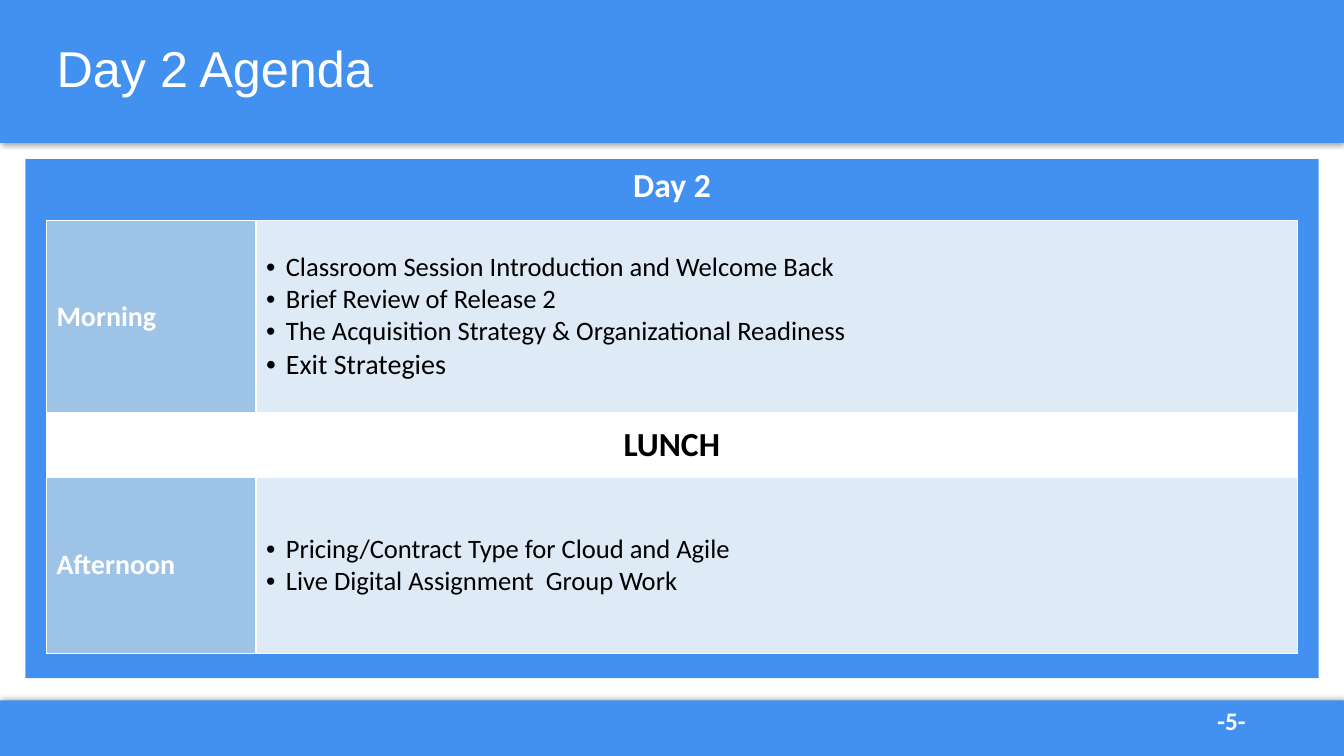
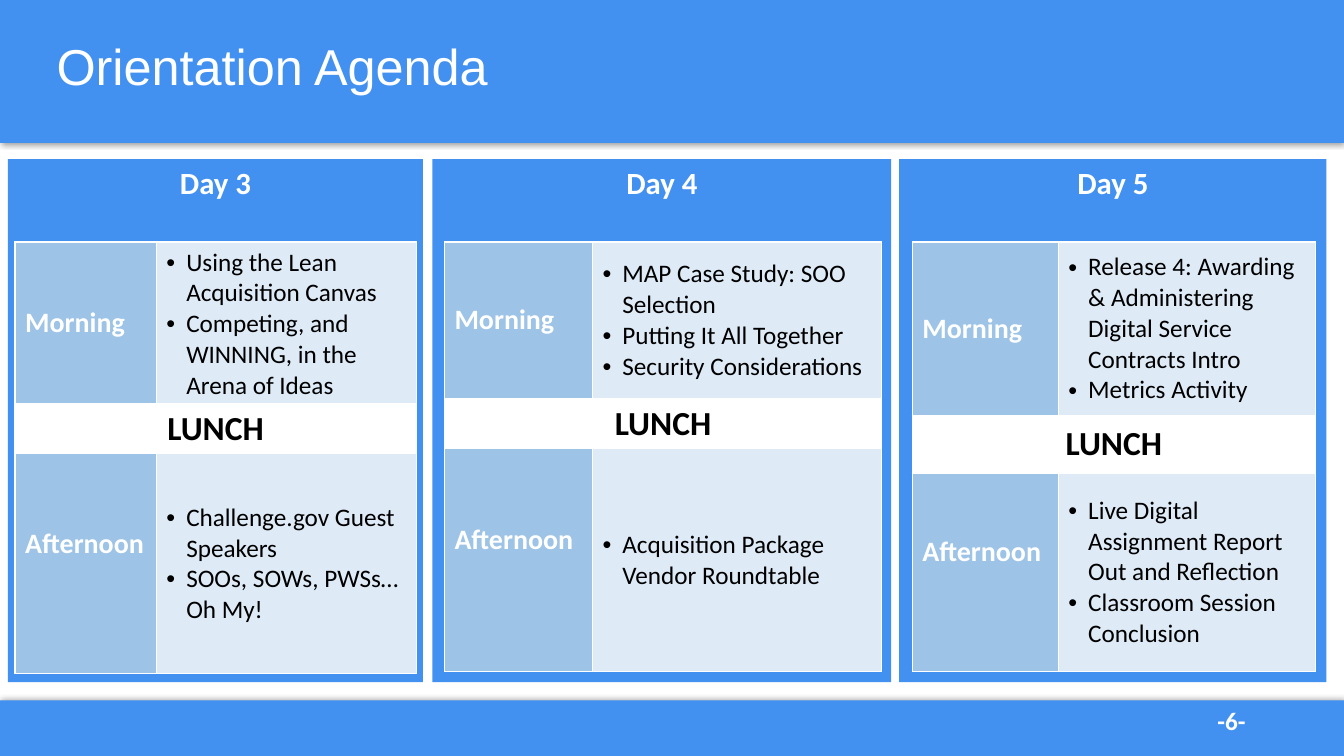
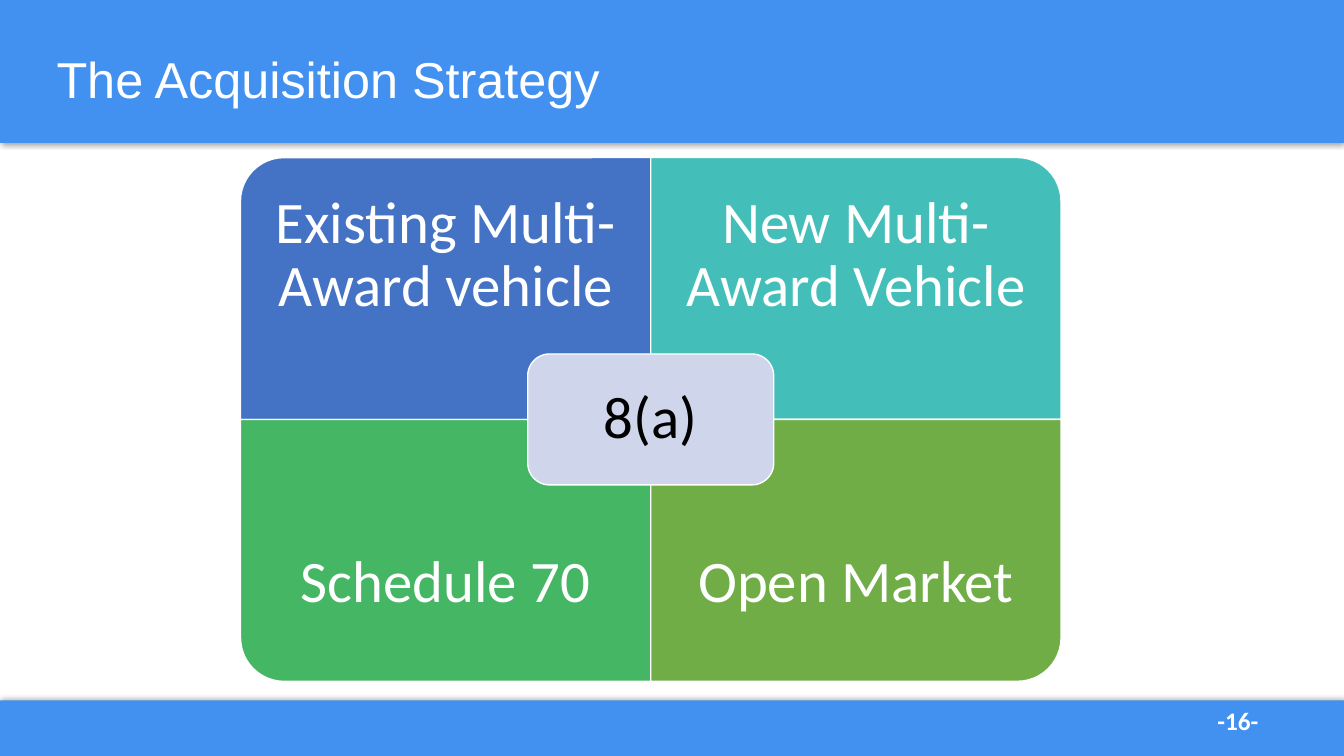
"""Build the two agenda slides and the acquisition strategy slide."""
from lxml import etree
from pptx import Presentation
from pptx.dml.color import RGBColor
from pptx.enum.shapes import MSO_SHAPE
from pptx.enum.text import MSO_ANCHOR, MSO_AUTO_SIZE, PP_ALIGN
from pptx.oxml import parse_xml
from pptx.oxml.ns import nsdecls, qn
from pptx.util import Cm, Pt

RECTANGLE = MSO_SHAPE.RECTANGLE
ROUNDED = MSO_SHAPE.ROUNDED_RECTANGLE
ONE_ROUND_CORNER = MSO_SHAPE.ROUND_1_RECTANGLE
TOP, MIDDLE = MSO_ANCHOR.TOP, MSO_ANCHOR.MIDDLE
LEFT, CENTER = PP_ALIGN.LEFT, PP_ALIGN.CENTER

COLORS = {
    "band": "4291F0", "white": "FFFFFF", "black": "000000",
    "label": "9DC3E6", "list": "DEEBF7", "indigo": "4472C4",
    "teal": "43BEB9", "green": "45B664", "olive": "70AD47", "center": "CFD5EA",
}
SLIDE_WIDTH, SLIDE_HEIGHT = 33.87, 19.05
HEADER_HEIGHT, FOOTER_TOP = 3.6, 17.65
PANEL_TOP = 4.01


def add_block(slide, kind, left, top, width, height, fill, outlined=False):
    """Add a filled shape, with a white outline if wanted."""
    shape = slide.shapes.add_shape(kind, Cm(left), Cm(top), Cm(width), Cm(height))
    shape.shadow.inherit = False
    shape.fill.solid()
    shape.fill.fore_color.rgb = RGBColor.from_string(COLORS[fill])
    if outlined:
        shape.line.color.rgb = RGBColor.from_string(COLORS["white"])
        shape.line.width = Pt(1)
    else:
        shape.line.fill.background()
    return shape


def add_run(paragraph, text, size, color="white", bold=False, font="Calibri", align=LEFT):
    """Add one formatted run to a paragraph."""
    paragraph.alignment = align
    run = paragraph.add_run()
    run.text = text
    run.font.size = Pt(size)
    run.font.name = font
    run.font.bold = bold
    run.font.color.rgb = RGBColor.from_string(COLORS[color])


presentation = Presentation()
presentation.slide_width = Cm(SLIDE_WIDTH)
presentation.slide_height = Cm(SLIDE_HEIGHT)
layout = presentation.slide_layouts[5]
for placeholder in list(layout.placeholders)[1:]:
    layout.shapes.element.remove(placeholder.element)

slides = []
for title, page, top, height in [
    ("Day 2 Agenda", "-5-", -0.05, 3.68),
    ("Orientation Agenda", "-6-", -0.1, 3.68),
    ("The Acquisition Strategy", "-16-", 0.76, 2.64),
]:
    slide = presentation.slides.add_slide(layout)
    slides.append(slide)
    shape = slide.shapes.title
    shape.left, shape.top, shape.width, shape.height = Cm(1.17), Cm(top), Cm(31.55), Cm(height)
    shape.text_frame.auto_size = MSO_AUTO_SIZE.NONE
    shape.text_frame.vertical_anchor = MIDDLE
    paragraph = shape.text_frame.paragraphs[0]
    paragraph.line_spacing = 0.9
    add_run(paragraph, title, 36, font="Arial")

    page_box = slide.shapes.add_textbox(Cm(30.43), Cm(FOOTER_TOP), Cm(2.49), Cm(1.02))
    page_box.text_frame.word_wrap = True
    add_run(page_box.text_frame.paragraphs[0], page, 18, bold=True)

for top, height, direction in [
    (0, HEADER_HEIGHT, 90),
    (FOOTER_TOP, SLIDE_HEIGHT - FOOTER_TOP, 270),
]:
    band = add_block(slides[0], RECTANGLE, 0, top, SLIDE_WIDTH, height, "band")
    band.element.spPr.find(qn("a:effectLst")).append(parse_xml(
        f'<a:outerShdw {nsdecls("a")} blurRad="{Pt(4)}" dist="{Pt(1)}" '
        f'dir="{direction * 60000}" rotWithShape="0"><a:srgbClr val="{COLORS["black"]}">'
        '<a:alpha val="40000"/></a:srgbClr></a:outerShdw>'))
    layout.shapes.element.insert(2, band.element)

days = [
    {"slide": slides[0], "name": "Day 2", "panel": (0.64, 32.59, 13.08),
     "name_size": 24, "list_size": 19, "label_lift": 0, "table": (1.17, 5.56),
     "columns": (5.28, 26.24), "rows": (4.83, 1.63, 4.45),
     "morning": ["Classroom Session Introduction and Welcome Back",
                 "Brief Review of Release 2",
                 "The Acquisition Strategy & Organizational Readiness",
                 "Exit Strategies"],
     "afternoon": ["Pricing/Contract Type for Cloud and Agile",
                   "Live Digital Assignment  Group Work"]},
]
for name, panel, table_left, columns, rows, morning, afternoon in [
    ("Day 3", (0.2, 10.46), 0.38, (3.56, 6.55), (4.01, 1.24, 5.54),
     ["Using the Lean Acquisition Canvas", "Competing, and WINNING, in the Arena of Ideas"],
     ["Challenge.gov Guest Speakers", "SOOs, SOWs, PWSs…Oh My!"]),
    ("Day 4", (10.9, 11.56), 11.2, (3.73, 7.29), (3.94, 1.27, 5.61),
     ["MAP Case Study: SOO Selection", "Putting It All Together", "Security Considerations"],
     ["Acquisition Package Vendor Roundtable"]),
    ("Day 5", (22.66, 10.77), 22.99, (3.68, 6.48), (4.37, 1.45, 5),
     ["Release 4: Awarding & Administering Digital Service Contracts Intro",
      "Metrics Activity"],
     ["Live Digital Assignment Report Out and Reflection", "Classroom Session Conclusion"]),
]:
    days.append({"slide": slides[1], "name": name, "panel": (*panel, 13.18),
                 "name_size": 22, "list_size": 18, "label_lift": 1,
                 "table": (table_left, 6.1), "columns": columns, "rows": rows,
                 "morning": morning, "afternoon": afternoon})

LARGER_ITEMS = {"Exit Strategies": 20}
for day in days:
    left, width, height = day["panel"]
    panel = add_block(day["slide"], RECTANGLE, left, PANEL_TOP, width, height, "band")
    panel.text_frame.vertical_anchor = TOP
    add_run(panel.text_frame.paragraphs[0], day["name"], day["name_size"], bold=True, align=CENTER)

    left, top = day["table"]
    table = day["slide"].shapes.add_table(
        3, 2, Cm(left), Cm(top), Cm(sum(day["columns"])), Cm(sum(day["rows"]))).table
    table.first_row = table.horz_banding = False
    for column, width in zip(table.columns, day["columns"]):
        column.width = Cm(width)
    for row, height in zip(table.rows, day["rows"]):
        row.height = Cm(height)

    for row_index, row_fills in enumerate([("label", "list"), ("white", "white"), ("label", "list")]):
        for column_index, fill in enumerate(row_fills):
            cell = table.cell(row_index, column_index)
            cell.vertical_anchor = MIDDLE
            properties = cell._tc.get_or_add_tcPr()
            for side in ("lnL", "lnR", "lnT", "lnB"):
                border = etree.SubElement(properties, qn(f"a:{side}"), w=str(Pt(1)))
                line_fill = etree.SubElement(border, qn("a:solidFill"))
                etree.SubElement(line_fill, qn("a:srgbClr"), val=COLORS["white"])
            cell.fill.solid()
            cell.fill.fore_color.rgb = RGBColor.from_string(COLORS[fill])

    table.cell(1, 0).merge(table.cell(1, 1))
    add_run(table.cell(1, 0).text_frame.paragraphs[0], "LUNCH", 24, "black", True, align=CENTER)

    for row_index, label in [(0, "Morning"), (2, "Afternoon")]:
        add_run(table.cell(row_index, 0).text_frame.paragraphs[0], label, 20, bold=True)
        text_frame = table.cell(row_index, 1).text_frame
        for item_index, item in enumerate(day[label.lower()]):
            paragraph = text_frame.add_paragraph() if item_index else text_frame.paragraphs[0]
            properties = paragraph._p.get_or_add_pPr()
            properties.set("marL", str(Cm(0.5)))
            properties.set("indent", str(-Cm(0.5)))
            etree.SubElement(properties, qn("a:buFont"), typeface="Arial")
            etree.SubElement(properties, qn("a:buChar"), char="•")
            add_run(paragraph, item, LARGER_ITEMS.get(item, day["list_size"]), "black")
    table.cell(2, 0).margin_bottom = Cm(0.13 + day["label_lift"])

strategy_slide = slides[2]
CENTER_X, CENTER_Y = 16.4, 10.57
QUADRANT_WIDTH, QUADRANT_HEIGHT = 10.34, 6.6
LABEL_HEIGHT = QUADRANT_HEIGHT * 0.75
label_boxes = []
for text, fill, column, row, rotation in [
    ("Existing Multi-Award vehicle", "indigo", 0, 0, 270),
    ("New Multi-Award Vehicle", "teal", 1, 0, 0),
    ("Schedule 70", "green", 0, 1, 180),
    ("Open Market", "olive", 1, 1, 90),
]:
    left = CENTER_X + (column - 1) * QUADRANT_WIDTH
    top = CENTER_Y + (row - 1) * QUADRANT_HEIGHT
    width, height = QUADRANT_WIDTH, QUADRANT_HEIGHT
    if rotation in (90, 270):
        width, height = height, width
    quadrant = add_block(
        strategy_slide, ONE_ROUND_CORNER, left + (QUADRANT_WIDTH - width) / 2,
        top + (QUADRANT_HEIGHT - height) / 2, width, height, fill, outlined=True)
    quadrant.rotation = rotation
    label_top = top + row * (QUADRANT_HEIGHT - LABEL_HEIGHT)
    label_box = strategy_slide.shapes.add_textbox(
        Cm(left), Cm(label_top), Cm(QUADRANT_WIDTH), Cm(LABEL_HEIGHT))
    label_boxes.append((label_box, text, "white", 0.84))

hub_width, hub_height = 6.2, 3.3
hub = add_block(strategy_slide, ROUNDED, CENTER_X - hub_width / 2, CENTER_Y - hub_height / 2,
                hub_width, hub_height, "center", outlined=True)
label_boxes.append((hub, "8(a)", "black", 0.43))

for shape, text, color, margin in label_boxes:
    text_frame = shape.text_frame
    text_frame.word_wrap = True
    text_frame.vertical_anchor = MIDDLE
    text_frame.margin_left = text_frame.margin_right = Cm(margin)
    text_frame.margin_top = text_frame.margin_bottom = Cm(margin)
    paragraph = text_frame.paragraphs[0]
    paragraph.line_spacing = 0.9
    add_run(paragraph, text, 42, color, align=CENTER)

presentation.save("out.pptx")
